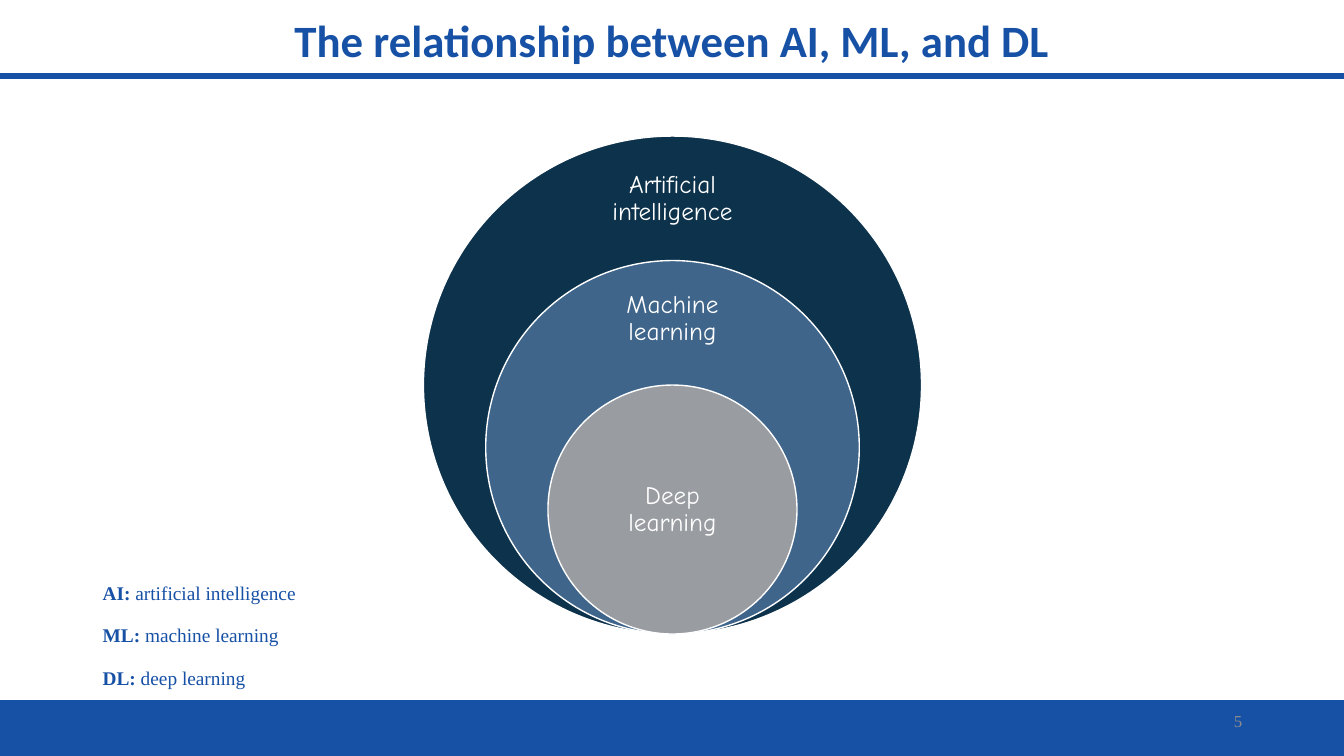
from pptx import Presentation
from pptx.dml.color import RGBColor
from pptx.enum import shapes, text
from pptx.util import Inches, Pt

BLUE = "1751A6"
WHITE = "FFFFFF"
SERIF = "Times New Roman"
WIDE, HIGH = 13.33, 7.5


def color(code):
    return RGBColor.from_string(code)


def add_solid(slide, kind, box, fill, edge):
    shape = slide.shapes.add_shape(kind, *map(Inches, box))
    shape.shadow.inherit = False
    shape.fill.solid()
    shape.fill.fore_color.rgb = color(fill)
    shape.line.color.rgb = color(edge)
    shape.line.width = Pt(1)


def add_frame(slide, box, anchor=text.MSO_ANCHOR.MIDDLE):
    frame = slide.shapes.add_textbox(*map(Inches, box)).text_frame
    frame.word_wrap = True
    frame.vertical_anchor = anchor
    return frame


def add_run(para, words, font, size, code, bold=False):
    run = para.add_run()
    run.text = words
    run.font.name = font
    run.font.size = Pt(size)
    run.font.bold = bold
    run.font.color.rgb = color(code)
    return run


# Footer band with the page number
def add_footer(slide, box):
    left, top, width, height = box
    add_solid(slide, shapes.MSO_SHAPE.RECTANGLE, box, BLUE, BLUE)
    para = add_frame(slide, (left + width - 3.91, top, 3, 0.4)).paragraphs[0]
    para.alignment = text.PP_ALIGN.RIGHT
    add_run(para, "5", SERIF, 12, "8C8C8C")


# Title above a rule
def add_header(slide, box):
    left, top, width, height = box
    para = add_frame(slide, box).paragraphs[0]
    para.alignment = text.PP_ALIGN.CENTER
    para.line_spacing = 0.9
    add_run(para, "The relationship between AI, ML, and DL", "Calibri", 32, BLUE, True)
    rule = (left, top + 1.03, width, 0.05)
    add_solid(slide, shapes.MSO_SHAPE.RECTANGLE, rule, BLUE, BLUE)


# Short forms, set as raised text
def add_legend(slide, box):
    frame = add_frame(slide, box, text.MSO_ANCHOR.TOP)
    terms = [("AI:", " artificial intelligence"),
             ("ML:", " machine learning"),
             ("DL:", " deep learning")]
    for i, (short, full) in enumerate(terms):
        para = frame.add_paragraph() if i else frame.paragraphs[0]
        para.line_spacing = 0.7
        para.space_before = Pt(10)
        for words, bold in ((short, True), (full, False)):
            run = add_run(para, words, SERIF, 23.8, BLUE, bold)
            run.font._element.set("baseline", "30000")


# Nested circles that share their lowest point
def add_nest(slide, box):
    left, top, width, height = box
    mid = left + width / 2
    # name, fill, share of the full size, label offset and height
    rings = [("Artificial intelligence", "0D324C", 1, 0.25, 0.74),
             ("Machine learning", "3F658B", 0.75, 1.47, 0.69),
             ("Deep learning", "999CA1", 0.5, 3.09, 1.24)]
    for name, fill, share, drop, tall in rings:
        size = width * share
        ring = (mid - size / 2, top + height - size, size, size)
        add_solid(slide, shapes.MSO_SHAPE.OVAL, ring, fill, WHITE)
        frame = add_frame(slide, (mid - 0.87, top + drop, 1.74, tall))
        frame.margin_left = frame.margin_right = Inches(0.14)
        frame.margin_top = frame.margin_bottom = Inches(0.14)
        para = frame.paragraphs[0]
        para.alignment = text.PP_ALIGN.CENTER
        para.line_spacing = 0.9
        add_run(para, name, "Comic Neue", 18, WHITE)


def main():
    deck = Presentation()
    deck.slide_width = Inches(WIDE)
    deck.slide_height = Inches(HIGH)
    slide = deck.slides.add_slide(deck.slide_layouts[6])
    add_footer(slide, (0, 6.95, WIDE, 0.55))
    add_header(slide, (0, -0.3, WIDE, 1.45))
    add_legend(slide, (0.92, 5.79, 11.5, 0.97))
    add_nest(slide, (4.2, 1.35, 4.94, 4.94))
    deck.save("out.pptx")


if __name__ == "__main__":
    main()
